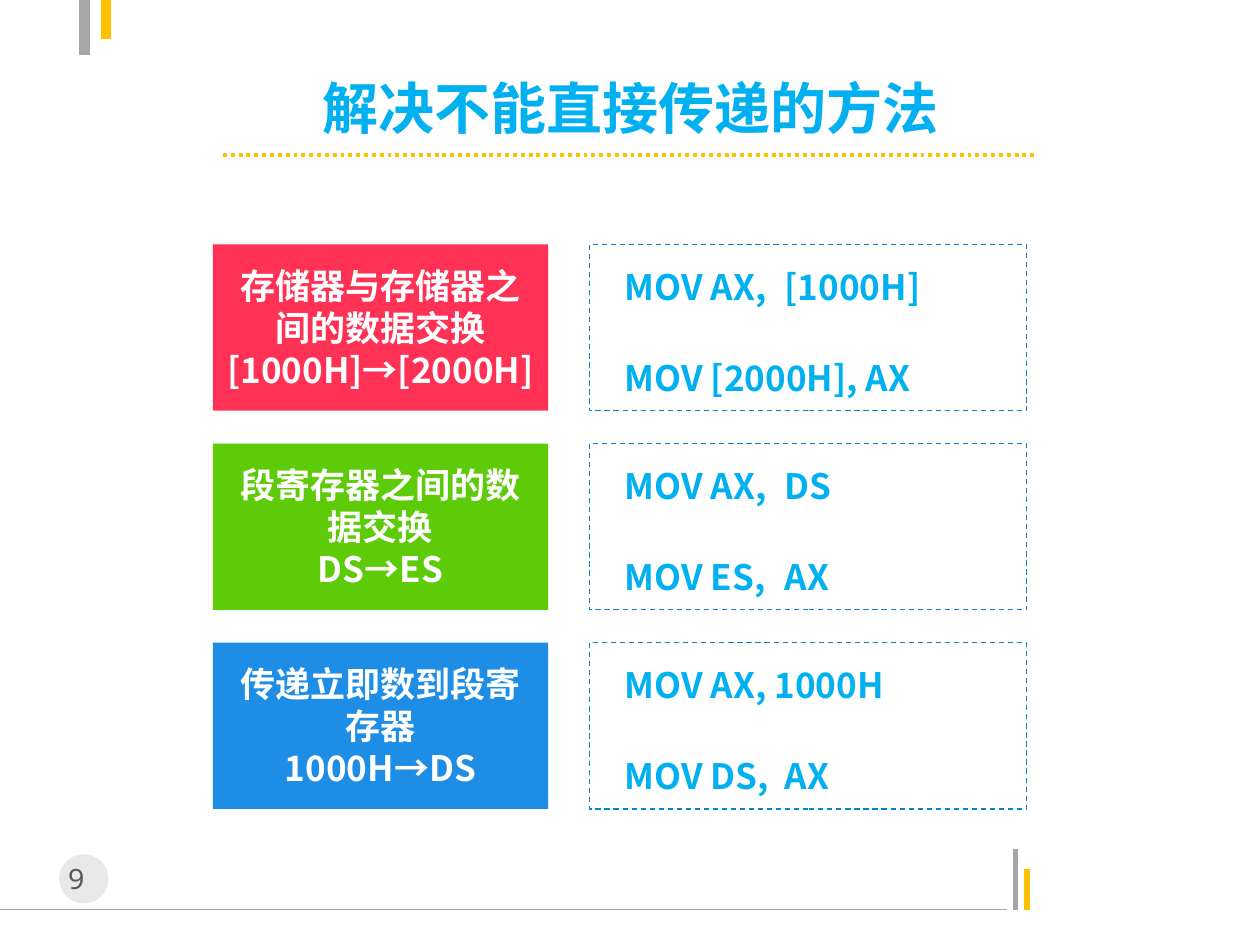
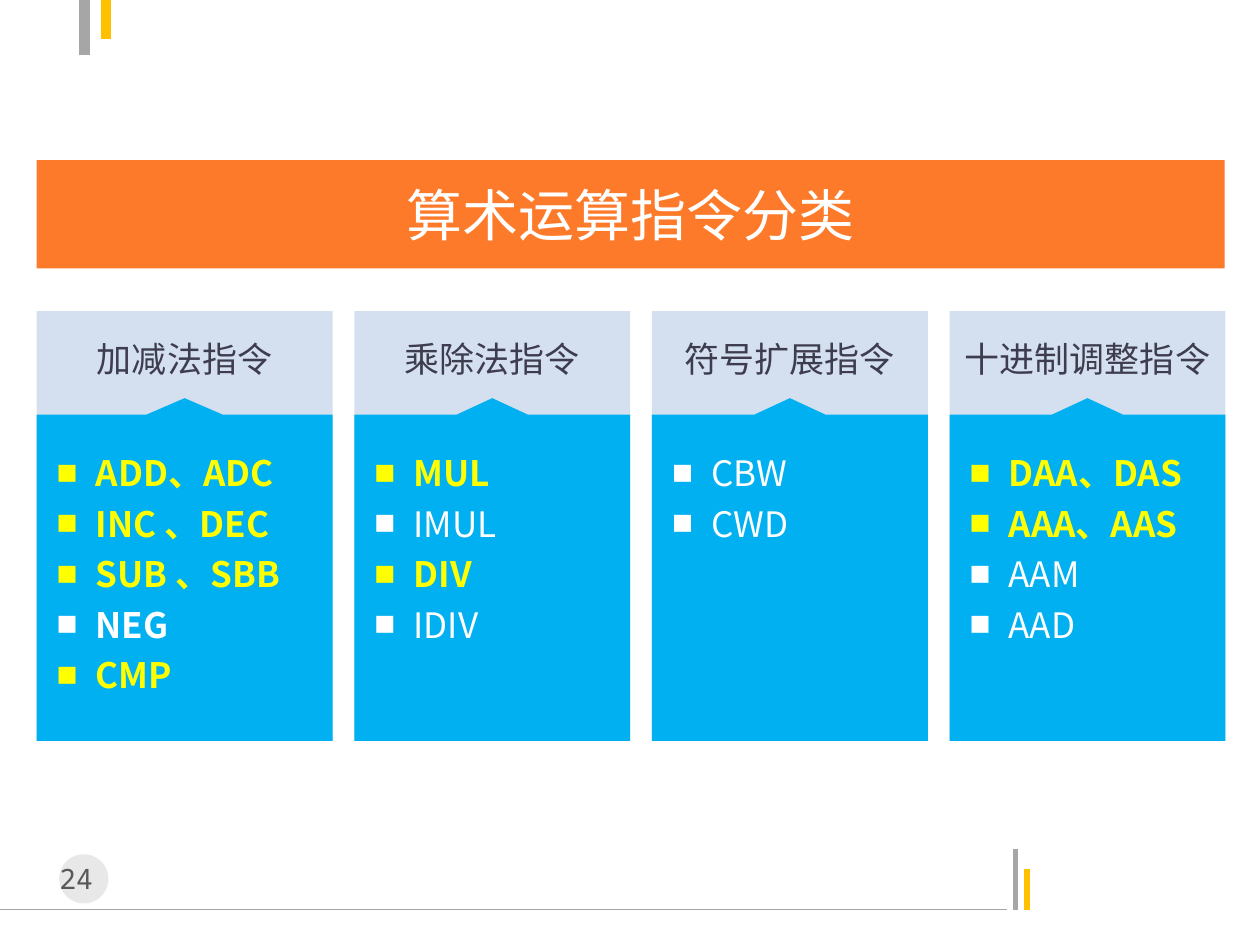
from dataclasses import dataclass
from typing import NamedTuple

from lxml.etree import SubElement
from pptx import Presentation
from pptx.dml.color import RGBColor
from pptx.enum.dml import MSO_LINE as Dash
from pptx.enum.shapes import MSO_CONNECTOR as Connector, MSO_SHAPE as Preset
from pptx.enum.text import MSO_ANCHOR as Anchor, MSO_AUTO_SIZE as AutoSize, PP_ALIGN as Align
from pptx.oxml.ns import qn
from pptx.util import Inches, Pt

# The grid has 100 columns and 75 rows, so a cell is a tenth of an inch.
COLUMNS, ROWS, CELL = 100, 75, 0.1

SANS, MONO = "Noto Sans CJK SC", "Noto Sans Mono"
SKY, WHITE, YELLOW = "00B0F0", "FFFFFF", "FFFF00"
GRAY, GOLD, INK = "A6A6A6", "FFC000", "3E3D4F"


class Area(NamedTuple):
    left: float
    top: float
    width: float
    height: float


class Rule(NamedTuple):
    start: tuple[float, float]
    end: tuple[float, float]
    color: str
    weight: float


@dataclass(frozen=True)
class Transfer:
    task: str
    example: str
    color: str
    code: tuple[str, str]


class Instruction(NamedTuple):
    text: str
    color: str = YELLOW
    bold: bool = True


@dataclass(frozen=True)
class Group:
    name: str
    width: float
    instructions: tuple[Instruction, ...]


# What every slide carries
FRAME_RULES = [
    Rule((0, 72.2), (79.9, 72.2), GRAY, 0.75),
    Rule((80.6, 72.2), (80.6, 67.4), GRAY, 3),
    Rule((81.5, 72.2), (81.5, 69), GOLD, 3),
    Rule((6.7, 4.4), (6.7, 0), GRAY, 6),
    Rule((8.4, 0), (8.4, 3.1), GOLD, 6),
]
NUMBER_DISC = Area(4.7, 67.8, 3.9, 3.9)
NUMBER_BOX = Area(2.5, 67.9, 7.1, 3.7)

TRANSFERS = [
    Transfer("存储器与存储器之间的数据交换", "[1000H]→[2000H]", "FF3255",
             ("MOV AX,\t[1000H]", "MOV [2000H], AX")),
    Transfer("段寄存器之间的数据交换", "DS→ES", "5DCB08",
             ("MOV AX,\tDS", "MOV ES,\tAX")),
    Transfer("传递立即数到段寄存器", "1000H→DS", "1D8DE5",
             ("MOV AX, 1000H", "MOV DS,\tAX")),
]

GROUPS = [
    Group("加减法指令", 23.5, (
        Instruction("ADD、ADC"), Instruction("INC 、DEC"), Instruction("SUB 、SBB"),
        Instruction("NEG", WHITE), Instruction("CMP"))),
    Group("乘除法指令", 21.9, (
        Instruction("MUL"), Instruction("IMUL", WHITE, False),
        Instruction("DIV"), Instruction("IDIV", WHITE, False))),
    Group("符号扩展指令", 21.9, (
        Instruction("CBW", WHITE, False), Instruction("CWD", WHITE, False))),
    Group("十进制调整指令", 21.9, (
        Instruction("DAA、DAS"), Instruction("AAA、AAS"),
        Instruction("AAM", WHITE, False), Instruction("AAD", WHITE, False))),
]


def cells(count: float) -> int:
    return Inches(count * CELL)


def rgb(code: str) -> RGBColor:
    return RGBColor.from_string(code)


def paint(shape, color: str | None, alpha: int = 100) -> None:
    """Fill a shape, or leave it hollow, without line or shadow."""
    shape.shadow.inherit = False
    shape.line.fill.background()
    if color is None:
        shape.fill.background()
        return
    shape.fill.solid()
    shape.fill.fore_color.rgb = rgb(color)
    if alpha < 100:
        tone = shape.fill._xPr.find(qn("a:solidFill"))[0]
        SubElement(tone, qn("a:alpha"), val=str(alpha * 1000))


def add_block(slide, area: Area, color: str | None, preset=Preset.RECTANGLE, alpha: int = 100):
    block = slide.shapes.add_shape(preset, *map(cells, area))
    paint(block, color, alpha)
    return block


def add_rule(slide, rule: Rule, dash=None) -> None:
    line = slide.shapes.add_connector(
        Connector.STRAIGHT, *map(cells, rule.start + rule.end))
    line.line.color.rgb = rgb(rule.color)
    line.line.width = Pt(rule.weight)
    if dash is not None:
        line.line.dash_style = dash
    SubElement(line._element.spPr, qn("a:effectLst"))


def write(para, text: str, *, size: float = 20, color: str = WHITE, bold: bool = False,
          font: str = SANS, align=Align.CENTER, spacing: float | None = None) -> None:
    """Put one formatted run into a paragraph."""
    para.alignment = align
    if spacing:
        para.line_spacing = spacing
    span = para.add_run()
    span.text = text
    span.font.size, span.font.bold = Pt(size), bold
    span.font.color.rgb = rgb(color)
    span.font.name = font
    SubElement(span._r.get_or_add_rPr(), qn("a:ea"), typeface=font)


def paragraphs(frame, count: int) -> list:
    return [frame.paragraphs[0]] + [frame.add_paragraph() for _ in range(count - 1)]


def add_label(slide, area: Area, text: str, anchor=Anchor.TOP, tab: float = 0, **style) -> None:
    box = slide.shapes.add_textbox(*map(cells, area))
    box.text_frame.word_wrap = True
    box.text_frame.vertical_anchor = anchor
    para = box.text_frame.paragraphs[0]
    if tab:
        stops = SubElement(para._p.get_or_add_pPr(), qn("a:tabLst"))
        SubElement(stops, qn("a:tab"), pos=str(cells(tab)), algn="l")
    write(para, text, **style)


def add_bullet(para) -> None:
    properties = para._p.get_or_add_pPr()
    indent = cells(3.1)
    properties.set("marL", str(indent))
    properties.set("indent", str(-indent))
    SubElement(properties, qn("a:buFont"), typeface=MONO)
    SubElement(properties, qn("a:buChar"), char="■")


def place_title(slide, area: Area, text: str, **style):
    title = slide.shapes.title
    title.left, title.top, title.width, title.height = map(cells, area)
    frame = title.text_frame
    frame.auto_size, frame.word_wrap = AutoSize.NONE, False
    frame.vertical_anchor = Anchor.MIDDLE
    write(frame.paragraphs[0], text, size=32, **style)
    return title


def add_slide(deck, number: int):
    """Start a title-only slide with its rules and page number."""
    slide = deck.slides.add_slide(deck.slide_layouts[5])
    for rule in FRAME_RULES:
        add_rule(slide, rule)
    add_block(slide, NUMBER_DISC, "BFBFBF", Preset.OVAL, alpha=35)
    add_label(slide, NUMBER_BOX, str(number), size=16, color="595959", font=MONO)
    return slide


def add_transfer(slide, transfer: Transfer, top: float) -> None:
    """Draw one task card with its two lines of code."""
    height = 13.2
    for row, code in enumerate(transfer.code):
        add_label(slide, Area(48.6, top + 0.7 + 7.2 * row, 32.7, 4.8), code,
                  Anchor.MIDDLE, tab=12.7, color=SKY, bold=True,
                  align=Align.LEFT, spacing=1.14)

    outline = add_block(slide, Area(46.8, top, 34.7, height), None)
    outline.line.color.rgb = rgb("0883C8")
    outline.line.width = Pt(0.75)
    outline.line.dash_style = Dash.DASH

    card = add_block(slide, Area(16.9, top, 26.6, height), transfer.color)
    frame = card.text_frame
    frame.word_wrap, frame.vertical_anchor = True, Anchor.MIDDLE
    for para, text in zip(paragraphs(frame, 2), (transfer.task, transfer.example)):
        write(para, text, bold=True)


def add_group(slide, group: Group, left: float) -> None:
    """Draw one column: pale head, notched body, bullets and heading."""
    top, bottom, peak, shoulder = 24.7, 58.8, 31.6, 32.9
    right, middle = left + group.width, left + group.width / 2
    notch = 0.128 * group.width
    add_block(slide, Area(left, top, group.width, bottom - top), "95B3D7", alpha=40)

    outline = [(middle, peak), (middle + notch, shoulder), (right, shoulder),
               (right, bottom), (left, bottom), (left, shoulder), (middle - notch, shoulder)]
    points = [(cells(x), cells(y)) for x, y in outline]
    builder = slide.shapes.build_freeform(*points[0])
    builder.add_line_segments(points[1:], close=True)
    body = builder.convert_to_shape()
    paint(body, SKY)

    frame = body.text_frame
    frame.word_wrap, frame.vertical_anchor = True, Anchor.TOP
    frame.margin_left = frame.margin_right = cells(1.6)
    frame.margin_top = cells(3.6)
    for para, item in zip(paragraphs(frame, len(group.instructions)), group.instructions):
        add_bullet(para)
        write(para, item.text, color=item.color, bold=item.bold,
              align=Align.LEFT, spacing=1.2)

    add_label(slide, Area(left, 26.3, group.width, 4.4), group.name, color=INK)


def build_transfer_slide(deck) -> None:
    slide = add_slide(deck, 9)
    place_title(slide, Area(13.8, 6, 72.5, 5), "解决不能直接传递的方法", color=SKY, bold=True)
    add_rule(slide, Rule((17.7, 12.3), (82.3, 12.3), GOLD, 2.25), Dash.ROUND_DOT)
    for row, transfer in enumerate(TRANSFERS):
        add_transfer(slide, transfer, 19.4 + 15.8 * row)


def build_group_slide(deck) -> None:
    slide = add_slide(deck, 24)
    left, gap = 2.9, 1.72
    banner = place_title(slide, Area(left, 12.7, 94.3, 8.6), "算术运算指令分类")
    paint(banner, "FD7A2A")
    for group in GROUPS:
        add_group(slide, group, left)
        left += group.width + gap


def main() -> None:
    deck = Presentation()
    deck.slide_width, deck.slide_height = cells(COLUMNS), cells(ROWS)
    build_transfer_slide(deck)
    build_group_slide(deck)
    deck.save("out.pptx")


if __name__ == "__main__":
    main()
